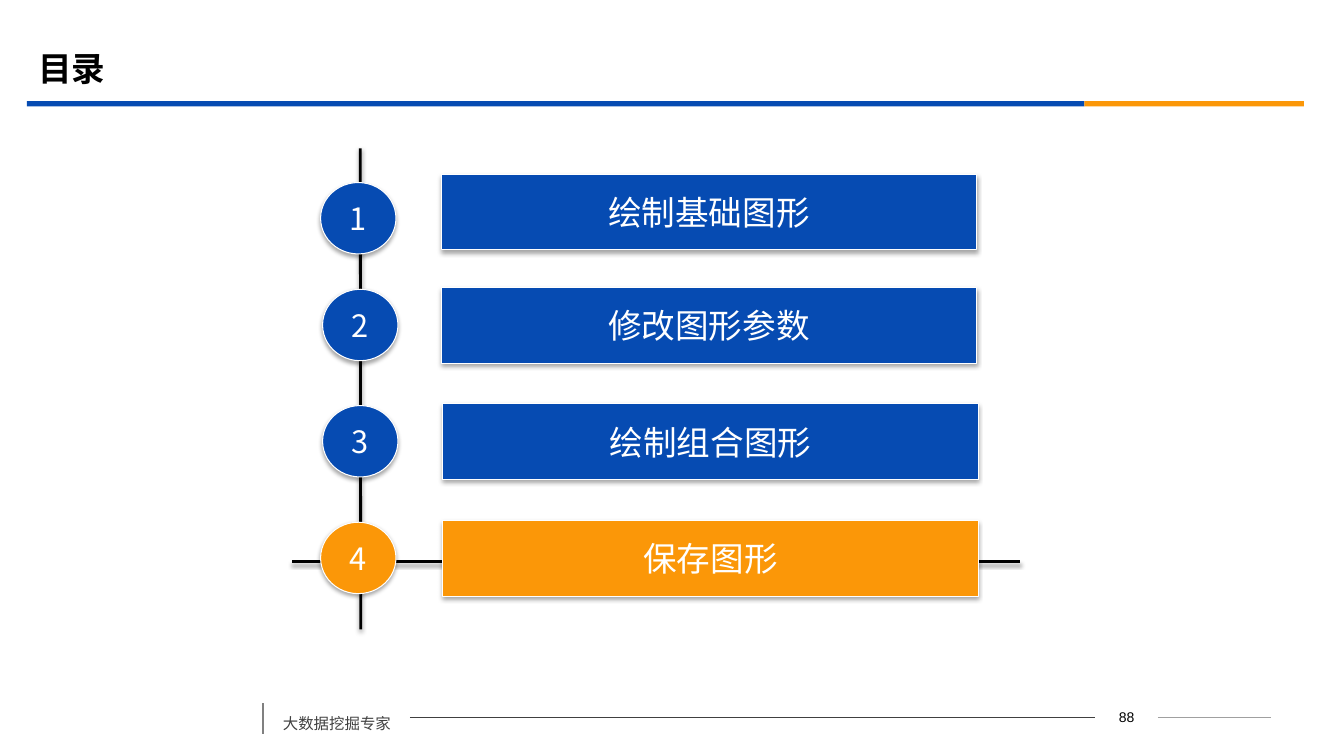
from lxml import etree
from pptx import Presentation
from pptx.dml.color import RGBColor
from pptx.enum import shapes, text
from pptx.oxml import ns
from pptx.util import Cm, Pt

BLUE = RGBColor(0x06, 0x4B, 0xB2)
ORANGE = RGBColor(0xFB, 0x97, 0x08)
BLACK = RGBColor(0, 0, 0)
WHITE = RGBColor(0xFF, 0xFF, 0xFF)
DARK = RGBColor(0x40, 0x40, 0x40)
GREY = RGBColor(0x80, 0x80, 0x80)
SILVER = RGBColor(0xA0, 0xA0, 0xA0)
CJK = "Noto Sans CJK SC"

TITLE = "目录"
FOOTER = "大数据挖掘专家"
PAGE = "88"
CHAPTERS = [
    ("绘制基础图形", BLUE, 8.08, 4.4, 11.12),
    ("修改图形参数", BLUE, 8.13, 7.25, 11.12),
    ("绘制组合图形", BLUE, 8.13, 10.18, 11.16),
    ("保存图形", ORANGE, 8.08, 13.12, 11.16),
]
BAR_SIZE = (13.49, 1.9)
DISC_SIZE = (1.9, 1.8)
RULES = [(0.68, 26.65, BLUE), (27.33, 5.53, ORANGE)]
FOOTER_LINES = [
    (29.18, 18.09, 32.03, 18.09, SILVER, 0.75),
    (10.33, 18.09, 27.6, 18.09, DARK, 0.75),
    (6.63, 17.72, 6.63, 18.5, GREY, 1.25),
]
AXES = [(9.08, 3.74, 9.09, 15.86), (7.37, 14.15, 25.7, 14.15)]

deck = Presentation()
deck.slide_width, deck.slide_height = Cm(33.87), Cm(19.05)
slide = deck.slides.add_slide(deck.slide_layouts[6])


def set_effects(part, distance=None, opacity=None):
    effects = etree.SubElement(part._element.spPr, ns.qn("a:effectLst"))
    if distance:
        shadow = etree.SubElement(
            effects, ns.qn("a:outerShdw"), blurRad=str(Pt(3.1)),
            dist=str(Pt(distance)), dir="5400000", rotWithShape="0")
        colour = etree.SubElement(shadow, ns.qn("a:srgbClr"), val="000000")
        etree.SubElement(colour, ns.qn("a:alpha"), val=str(opacity * 1000))


def add_line(x1, y1, x2, y2, colour, width, *shadow):
    line = slide.shapes.add_connector(
        shapes.MSO_CONNECTOR.STRAIGHT, Cm(x1), Cm(y1), Cm(x2), Cm(y2))
    line.line.color.rgb = colour
    line.line.width = Pt(width)
    set_effects(line, *shadow)


def add_filled(preset, left, top, width, height, colour):
    part = slide.shapes.add_shape(preset, Cm(left), Cm(top), Cm(width), Cm(height))
    part.fill.solid()
    part.fill.fore_color.rgb = colour
    part.line.fill.background()
    return part


def write(part, words, size, colour, face=CJK, align=text.PP_ALIGN.CENTER,
          bold=False, wrap=False, anchor=text.MSO_ANCHOR.MIDDLE):
    frame = part.text_frame
    frame.word_wrap = wrap
    frame.vertical_anchor = anchor
    paragraph = frame.paragraphs[0]
    paragraph.text = words
    paragraph.alignment = align
    font = paragraph.font
    font.size, font.bold = Pt(size), bold
    font.color.rgb = colour
    font.name = face
    defaults = paragraph._p.pPr.find(ns.qn("a:defRPr"))
    etree.SubElement(defaults, ns.qn("a:ea"), typeface=face)
    return paragraph


def add_text(left, top, width, height, *words, **style):
    box = slide.shapes.add_textbox(Cm(left), Cm(top), Cm(width), Cm(height))
    return write(box, *words, **style)


def add_label(preset, left, top, size, colour, words, points):
    part = add_filled(preset, left, top, *size, colour)
    part.line.color.rgb = WHITE
    part.line.width = Pt(0.75)
    set_effects(part, 1.8, 35)
    write(part, words, points, WHITE)


for left, width, colour in RULES:
    rule = add_filled(shapes.MSO_SHAPE.RECTANGLE, left, 2.55, width, 0.13, colour)
    rule.shadow.inherit = False
for footer_line in FOOTER_LINES:
    add_line(*footer_line)
add_text(27.6, 17.75, 1.58, 0.64, PAGE, 10, BLACK, face="Arial")
tagline = add_text(6.88, 17.63, 3.45, 0.97, FOOTER, 11, DARK, wrap=True,
                   align=text.PP_ALIGN.LEFT, anchor=text.MSO_ANCHOR.TOP)
tagline.line_spacing = 1.5
add_text(0.71, 0.99, 30.48, 1.47, TITLE, 24, BLACK, wrap=True,
         align=text.PP_ALIGN.LEFT, bold=True)

for axis in AXES:
    add_line(*axis, BLACK, 2, 1.6, 38)
for number, (chapter, colour, disc_left, bar_top, bar_left) in enumerate(CHAPTERS, 1):
    add_label(shapes.MSO_SHAPE.ACTION_BUTTON_CUSTOM, bar_left, bar_top,
              BAR_SIZE, colour, chapter, 24)
    disc_top = bar_top + (0.2 if number == 1 else 0.04)
    add_label(shapes.MSO_SHAPE.OVAL, disc_left, disc_top,
              DISC_SIZE, colour, str(number), 22)

deck.save("out.pptx")
